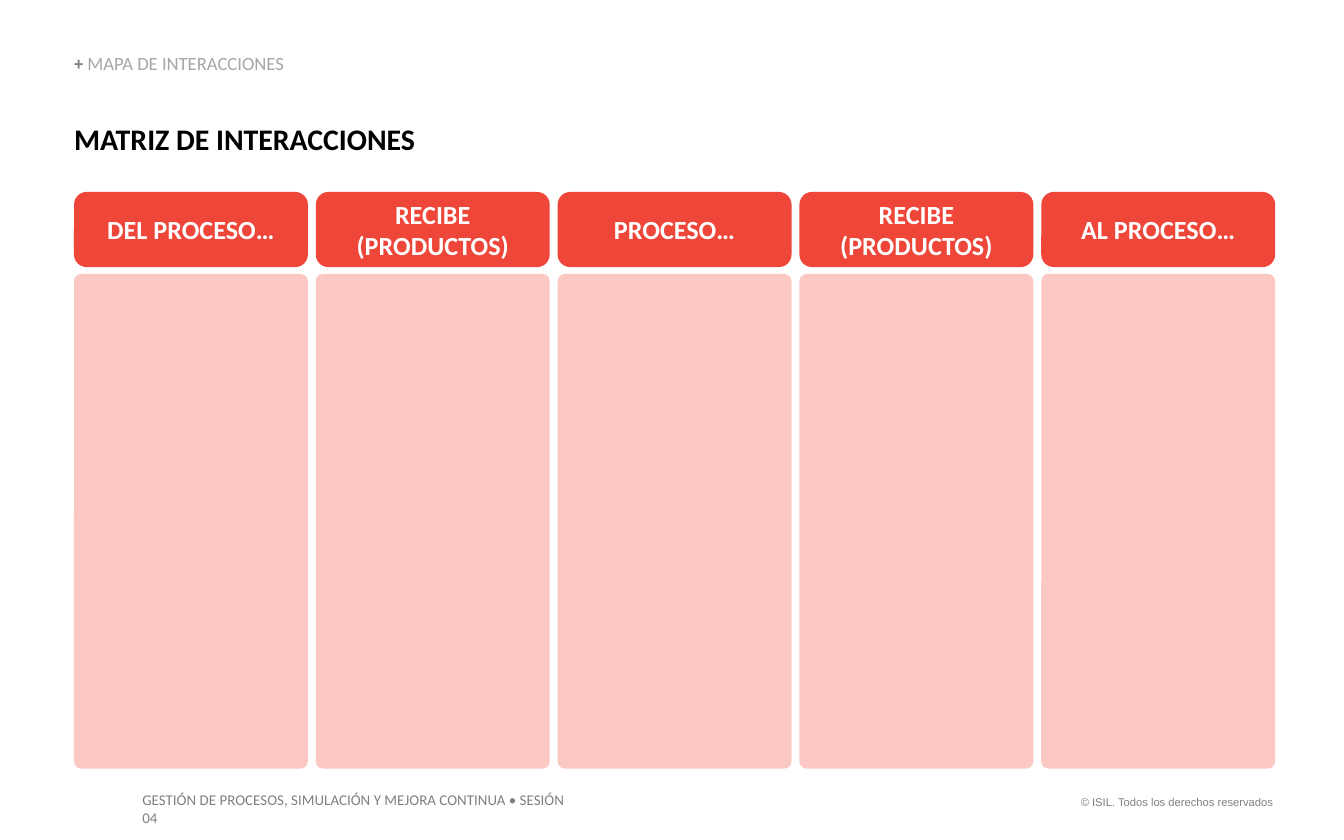
"""Build the interaction matrix slide."""
from pptx import Presentation
from pptx.dml.color import RGBColor
from pptx.enum.shapes import MSO_SHAPE
from pptx.enum.text import MSO_ANCHOR, PP_ALIGN
from pptx.util import Cm, Pt

ROUNDED = MSO_SHAPE.ROUNDED_RECTANGLE
TOP, MIDDLE, BOTTOM = MSO_ANCHOR.TOP, MSO_ANCHOR.MIDDLE, MSO_ANCHOR.BOTTOM
LEFT, CENTER, RIGHT, JUSTIFY = PP_ALIGN.LEFT, PP_ALIGN.CENTER, PP_ALIGN.RIGHT, PP_ALIGN.JUSTIFY

BLACK = RGBColor(0x00, 0x00, 0x00)
WHITE = RGBColor(0xFF, 0xFF, 0xFF)
GRAY = RGBColor(0x80, 0x80, 0x80)
SILVER = RGBColor(0xA6, 0xA6, 0xA6)
RED = RGBColor(0xEE, 0x46, 0x39)
PINK = RGBColor(0xFB, 0xC8, 0xC4)

MARGIN = 1.4
COLUMN_WIDTH = 4.42
COLUMN_STEP = 4.57
HEADINGS = ("DEL PROCESO…", "RECIBE (PRODUCTOS)", "PROCESO…", "RECIBE (PRODUCTOS)", "AL PROCESO…")


class SlideBuilder:
    def __init__(self, page, font="Calibri"):
        self.page = page
        self.font = font

    def add_spans(self, frame, spans, size, align, font=None):
        frame.word_wrap = True
        para = frame.paragraphs[0]
        para.alignment = align
        for text, color, bold in spans:
            span = para.add_run()
            span.text = text
            span.font.name = font or self.font
            span.font.size = Pt(size)
            span.font.bold = bold
            span.font.color.rgb = color
        return para

    def add_text(self, left, top, width, height, spans, size, align=LEFT, font=None, anchor=TOP, inset=True):
        box = self.page.shapes.add_textbox(Cm(left), Cm(top), Cm(width), Cm(height))
        frame = box.text_frame
        frame.vertical_anchor = anchor
        if not inset:
            frame.margin_left = frame.margin_right = frame.margin_top = frame.margin_bottom = 0
        return self.add_spans(frame, spans, size, align, font)

    def add_panel(self, left, top, width, height, color, heading=None, corner=None):
        box = self.page.shapes.add_shape(ROUNDED, Cm(left), Cm(top), Cm(width), Cm(height))
        box.shadow.inherit = False
        box.fill.solid()
        box.fill.fore_color.rgb = color
        box.line.fill.background()
        if corner is not None:
            box.adjustments[0] = corner
        if heading:
            box.text_frame.vertical_anchor = MIDDLE
            self.add_spans(box.text_frame, [(heading, WHITE, True)], 14, CENTER)


def main():
    deck = Presentation()
    deck.slide_width, deck.slide_height = Cm(25.4), Cm(15.88)
    builder = SlideBuilder(deck.slides.add_slide(deck.slide_layouts[6]))

    builder.add_text(20.02, 14.91, 4.29, 0.51, [("© ISIL. Todos los derechos reservados", GRAY, False)],
                     6, RIGHT, "Arial")
    builder.add_text(2.44, 14.83, 8.64, 0.61,
                     [("GESTIÓN DE PROCESOS, SIMULACIÓN Y MEJORA CONTINUA • SESIÓN 04", GRAY, False)], 8)
    builder.add_text(MARGIN, 2.29, 22.33, 0.69, [("MATRIZ DE INTERACCIONES", BLACK, True)],
                     16, JUSTIFY, inset=False)
    section = builder.add_text(MARGIN, 1.04, 6.76, 0.38,
                               [("+ ", GRAY, True), ("MAPA DE INTERACCIONES", SILVER, False)],
                               10, anchor=BOTTOM, inset=False)
    section.line_spacing = 0.9

    for column, heading in enumerate(HEADINGS):
        left = MARGIN + column * COLUMN_STEP
        builder.add_panel(left, 3.63, COLUMN_WIDTH, 1.42, RED, heading)
        builder.add_panel(left, 5.18, COLUMN_WIDTH, 9.35, PINK, corner=0.03)

    deck.save("out.pptx")


if __name__ == "__main__":
    main()
